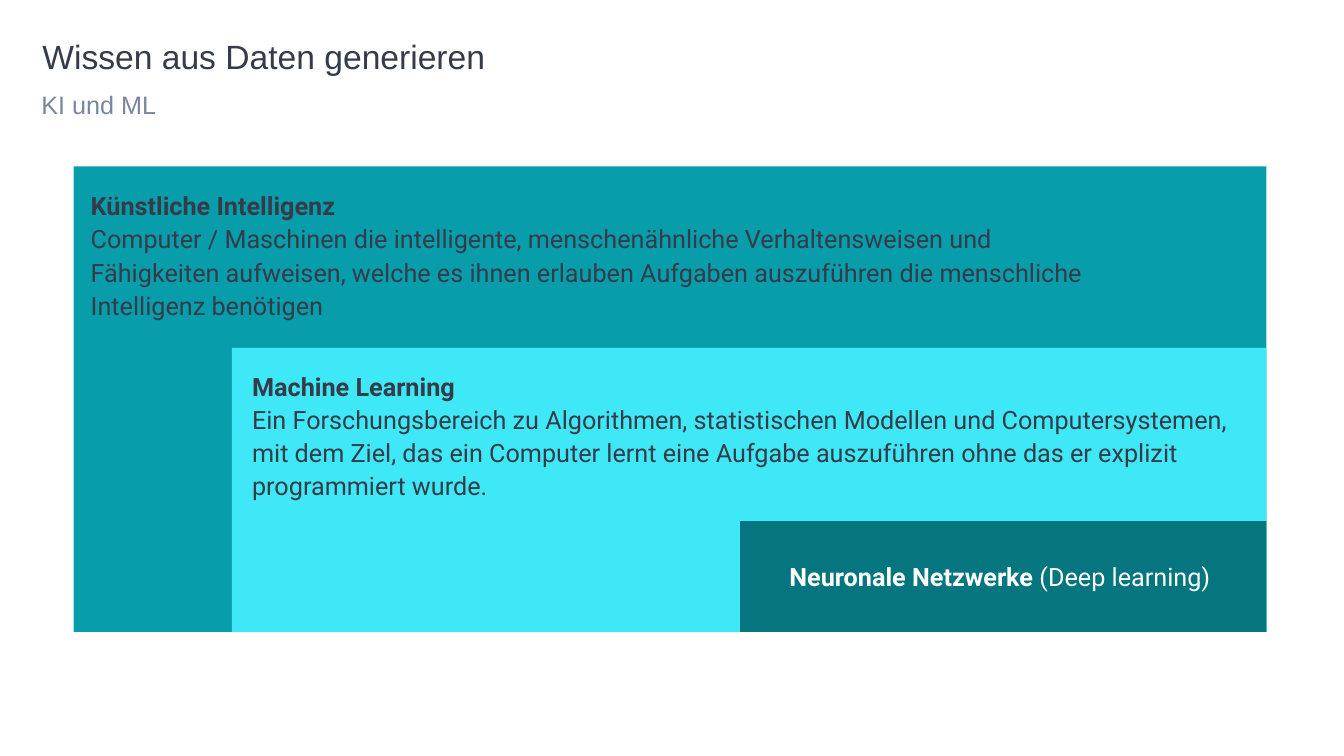
from pptx import Presentation
from pptx.dml.color import RGBColor
from pptx.enum import shapes, text
from pptx.util import Inches, Pt

DARK = RGBColor(0x34, 0x3C, 0x49)
GREY = RGBColor(0x78, 0x87, 0x9F)
WHITE = RGBColor(0xFF, 0xFF, 0xFF)
TEAL = RGBColor(0x07, 0x9D, 0xAA)
CYAN = RGBColor(0x3F, 0xE8, 0xF7)
DEEP = RGBColor(0x05, 0x76, 0x7F)

deck = Presentation()
deck.slide_width, deck.slide_height = Inches(13.33), Inches(7.5)
slide = deck.slides.add_slide(deck.slide_layouts[6])


def add_text(area, pad, wrap=True):
    box = slide.shapes.add_textbox(*map(Inches, area))
    frame = box.text_frame
    frame.word_wrap = wrap
    frame.vertical_anchor = text.MSO_ANCHOR.TOP
    (frame.margin_left, frame.margin_top,
     frame.margin_right, frame.margin_bottom) = map(Inches, pad)
    return frame


def style(para, face, size, color, space, bold=None):
    para.line_spacing = space
    para.font.name = face
    para.font.size = Pt(size)
    para.font.color.rgb = color
    para.font.bold = bold


heads = [
    ("Wissen aus Daten generieren", (0.42, 0.4, 12.52, 0.41), 0, 24, DARK, 0.9),
    ("KI und ML", (0.41, 0.81, 12.52, 0.49), 0.05, 18, GREY, 1.1),
]
for words, area, top, size, color, space in heads:
    para = add_text(area, (0, top, 0.1, 0.05)).paragraphs[0]
    para.text = words
    style(para, "Arial", size, color, space)

right, base = 12.56, 6.27
for left, top, color in [(0.73, 1.65, TEAL), (2.3, 3.45, CYAN), (7.34, 5.17, DEEP)]:
    rect = slide.shapes.add_shape(
        shapes.MSO_SHAPE.RECTANGLE, Inches(left), Inches(top),
        Inches(right - left), Inches(base - top))
    rect.shadow.inherit = False
    rect.fill.solid()
    rect.fill.fore_color.rgb = color
    rect.line.fill.background()

pad = (0.2,) * 4
topics = [
    ((0.7, 1.66, 10.54, 1.7), "Künstliche Intelligenz",
     "Computer / Maschinen die intelligente, menschenähnliche Verhaltensweisen und "
     "Fähigkeiten aufweisen, welche es ihnen erlauben Aufgaben auszuführen die "
     "menschliche Intelligenz benötigen"),
    ((2.3, 3.45, 10.28, 1.7), "Machine Learning",
     "Ein Forschungsbereich zu Algorithmen, statistischen Modellen und "
     "Computersystemen, mit dem Ziel, das ein Computer lernt eine Aufgabe "
     "auszuführen ohne das er explizit programmiert wurde."),
]
for area, name, detail in topics:
    frame = add_text(area, pad)
    frame.text = name + "\n" + detail
    for para, bold in zip(frame.paragraphs, (True, False)):
        style(para, "Roboto", 18, DARK, 1.1, bold)

para = add_text((7.63, 5.37, 4.76, 0.7), pad, False).paragraphs[0]
for words, bold in [("Neuronale Netzwerke ", True), ("(Deep learning)", False)]:
    run = para.add_run()
    run.text = words
    run.font.bold = bold
style(para, "Roboto", 18, WHITE, 1.1)

deck.save("out.pptx")
